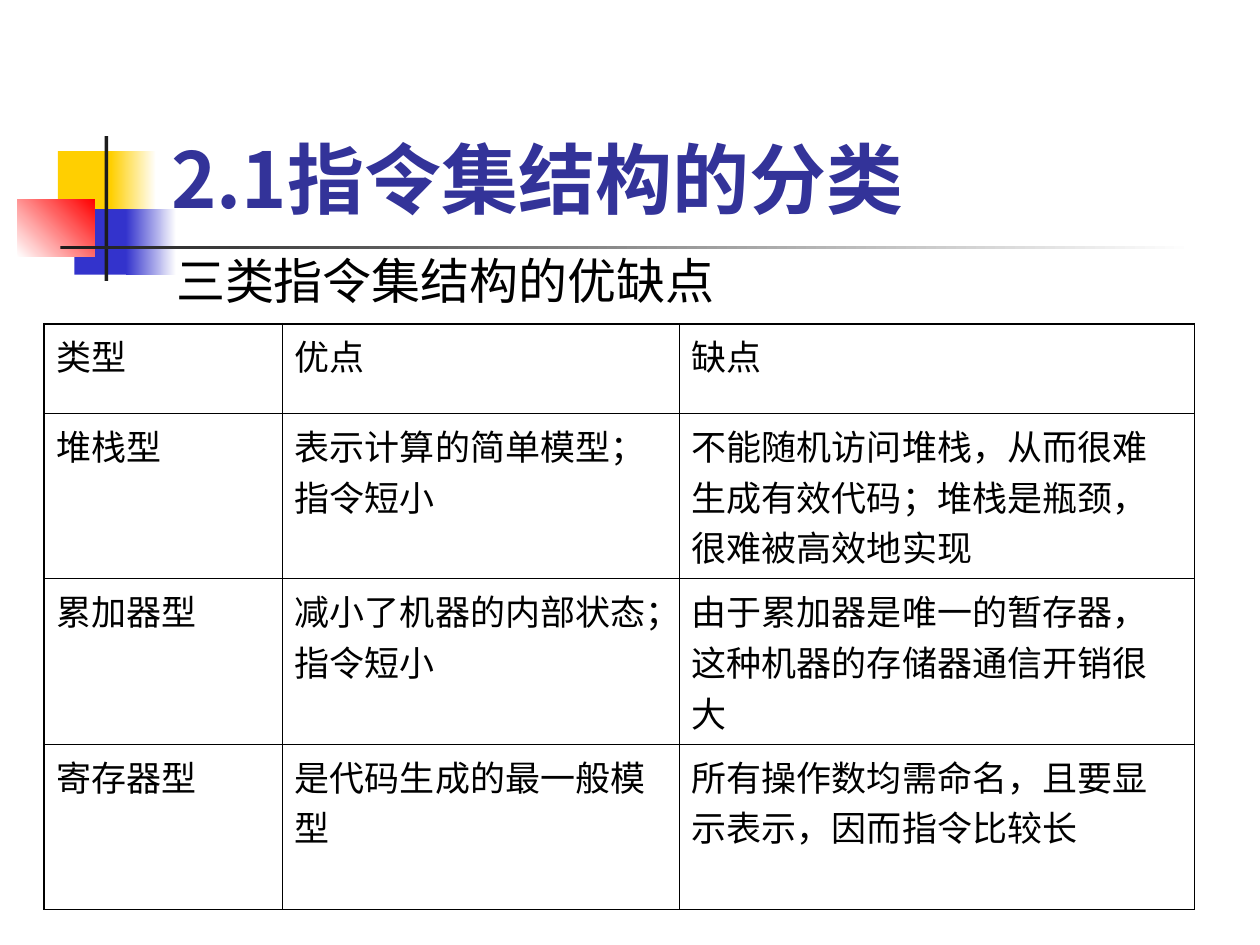
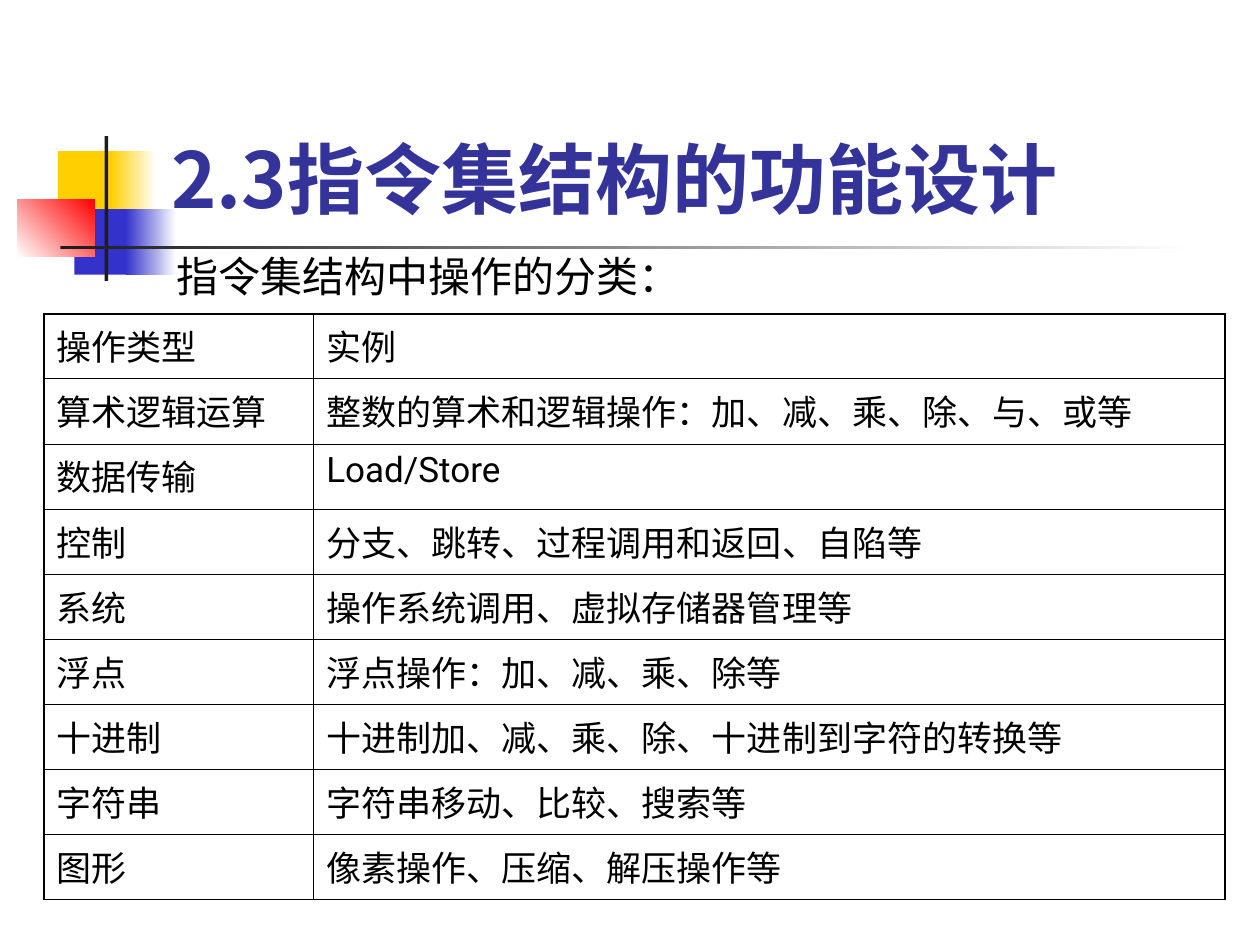
from lxml import etree
from pptx import Presentation
from pptx import util as u
from pptx.dml.color import RGBColor
from pptx.enum import shapes, text
from pptx.oxml import ns

# The slide is a grid of 10 columns by 7.5 rows of square cells.
COLUMNS, ROWS = 10, 7.5
CELL = u.Inches(1)

YELLOW = RGBColor(0xFF, 0xCF, 0x01)
BLUE = RGBColor(0x33, 0x33, 0xCC)
RED = RGBColor(0xFF, 0x00, 0x00)
WHITE = RGBColor(0xFF, 0xFF, 0xFF)
BLACK = RGBColor(0x00, 0x00, 0x00)
CHARCOAL = RGBColor(0x1C, 0x1C, 0x1C)
TITLE_BLUE = RGBColor(0x33, 0x33, 0x99)

TITLE_FONT = "Noto Sans CJK SC"
BODY_FONT = "Roboto"

OUTER_BORDER, INNER_BORDER = u.Pt(1.08), u.Pt(0.45)
TABLE_LEFT, TABLE_HEIGHT = 0.35, 4.65

# left, top, width, height, start colour, end colour, angle
EMBLEM = [
    (0.46, 1.2, 0.48, 0.52, YELLOW, None, 0),
    (0.88, 1.2, 0.36, 0.52, YELLOW, WHITE, 0),
    (0.59, 1.66, 0.46, 0.52, BLUE, None, 0),
    (1, 1.66, 0.4, 0.52, BLUE, WHITE, 0),
    (0.14, 1.58, 0.61, 0.46, WHITE, RED, 45),
    (0.83, 1.08, 0.03, 1.15, CHARCOAL, None, 0),
    (0.48, 1.95, 9, 0.03, CHARCOAL, WHITE, 0),
]

ADVANTAGES = [
    ("类型", "优点", "缺点"),
    ("堆栈型", "表示计算的简单模型；指令短小",
     "不能随机访问堆栈，从而很难生成有效代码；堆栈是瓶颈，很难被高效地实现"),
    ("累加器型", "减小了机器的内部状态；指令短小",
     "由于累加器是唯一的暂存器，这种机器的存储器通信开销很大"),
    ("寄存器型", "是代码生成的最一般模型",
     "所有操作数均需命名，且要显示表示，因而指令比较长"),
]

OPERATIONS = [
    ("操作类型", "实例"),
    ("算术逻辑运算", "整数的算术和逻辑操作：加、减、乘、除、与、或等"),
    ("数据传输", "Load/Store"),
    ("控制", "分支、跳转、过程调用和返回、自陷等"),
    ("系统", "操作系统调用、虚拟存储器管理等"),
    ("浮点", "浮点操作：加、减、乘、除等"),
    ("十进制", "十进制加、减、乘、除、十进制到字符的转换等"),
    ("字符串", "字符串移动、比较、搜索等"),
    ("图形", "像素操作、压缩、解压操作等"),
]


def cells(*lengths):
    """Turn grid lengths into slide units."""
    return [int(length * CELL) for length in lengths]


def write(frame, words, size, font=BODY_FONT, color=BLACK, bold=False):
    frame.word_wrap = True
    frame.text = words
    paragraph = frame.paragraphs[0]
    paragraph.alignment = text.PP_ALIGN.LEFT
    for run in paragraph.runs:
        run.font.size = u.Pt(size)
        run.font.name = font
        run.font.bold = bold
        run.font.color.rgb = color
        east_asian = etree.Element(ns.qn("a:ea"), typeface=TITLE_FONT)
        run.font._element.find(ns.qn("a:latin")).addnext(east_asian)


def add_block(slide, left, top, width, height, start, end, angle):
    """Add a borderless rectangle, plain or fading from start to end."""
    block = slide.shapes.add_shape(shapes.MSO_SHAPE.RECTANGLE,
                                   *cells(left, top, width, height))
    block.shadow.inherit = False
    block.line.fill.background()
    if end is None:
        block.fill.solid()
        block.fill.fore_color.rgb = start
    else:
        block.fill.gradient()
        block.fill.gradient_angle = angle
        for stop, color in zip(block.fill.gradient_stops, (start, end)):
            stop.color.rgb = color


def add_title(slide, words):
    title = slide.shapes.add_textbox(*cells(1.26, 0.78, 8.52, 1.05))
    title.text_frame.vertical_anchor = text.MSO_ANCHOR.BOTTOM
    write(title.text_frame, words, 44, TITLE_FONT, TITLE_BLUE, bold=True)


def add_subtitle(slide, words, size):
    subtitle = slide.shapes.add_textbox(*cells(1.3, 1.94, 7.33, 0.6))
    write(subtitle.text_frame, words, size)


def draw_borders(cell, outer_sides):
    """Rule all four sides, with the heavier line on outer_sides."""
    properties = cell._tc.get_or_add_tcPr()
    for side in "LRTB":
        width = OUTER_BORDER if side in outer_sides else INNER_BORDER
        line = etree.SubElement(properties, ns.qn(f"a:ln{side}"), w=str(width))
        fill = etree.SubElement(line, ns.qn("a:solidFill"))
        etree.SubElement(fill, ns.qn("a:srgbClr"), val=str(BLACK))


def add_ruled_table(slide, rows, top, widths, header_height):
    row_count, column_count = len(rows), len(widths)
    table = slide.shapes.add_table(
        row_count, column_count,
        *cells(TABLE_LEFT, top, sum(widths), TABLE_HEIGHT)).table
    table.first_row = table.horz_banding = False
    for column, width in zip(table.columns, cells(*widths)):
        column.width = width
    body_height = (TABLE_HEIGHT - header_height) / (row_count - 1)
    heights = cells(header_height, *[body_height] * (row_count - 1))
    for r, (row, height) in enumerate(zip(rows, heights)):
        table.rows[r].height = height
        for c, words in enumerate(row):
            cell = table.cell(r, c)
            write(cell.text_frame, words, 20)
            edges = {"L": c == 0, "R": c == column_count - 1,
                     "T": r == 0, "B": r == row_count - 1}
            draw_borders(cell, [side for side in edges if edges[side]])
            cell.fill.background()


def add_topic(deck, title, subtitle, subtitle_size):
    """Add a slide with the emblem, title and subtitle."""
    slide = deck.slides.add_slide(deck.slide_layouts[6])
    for block in EMBLEM:
        add_block(slide, *block)
    add_title(slide, title)
    add_subtitle(slide, subtitle, subtitle_size)
    return slide


def main():
    deck = Presentation()
    deck.slide_width, deck.slide_height = cells(COLUMNS, ROWS)

    classes = add_topic(deck, "2.1指令集结构的分类", "三类指令集结构的优缺点", 28)
    add_ruled_table(classes, ADVANTAGES, 2.57, (1.89, 3.15, 4.09), 0.71)

    functions = add_topic(deck, "2.3指令集结构的功能设计",
                          "指令集结构中操作的分类：", 24)
    add_ruled_table(functions, OPERATIONS, 2.49, (2.14, 7.23),
                    TABLE_HEIGHT / len(OPERATIONS))

    deck.save("out.pptx")


if __name__ == "__main__":
    main()
